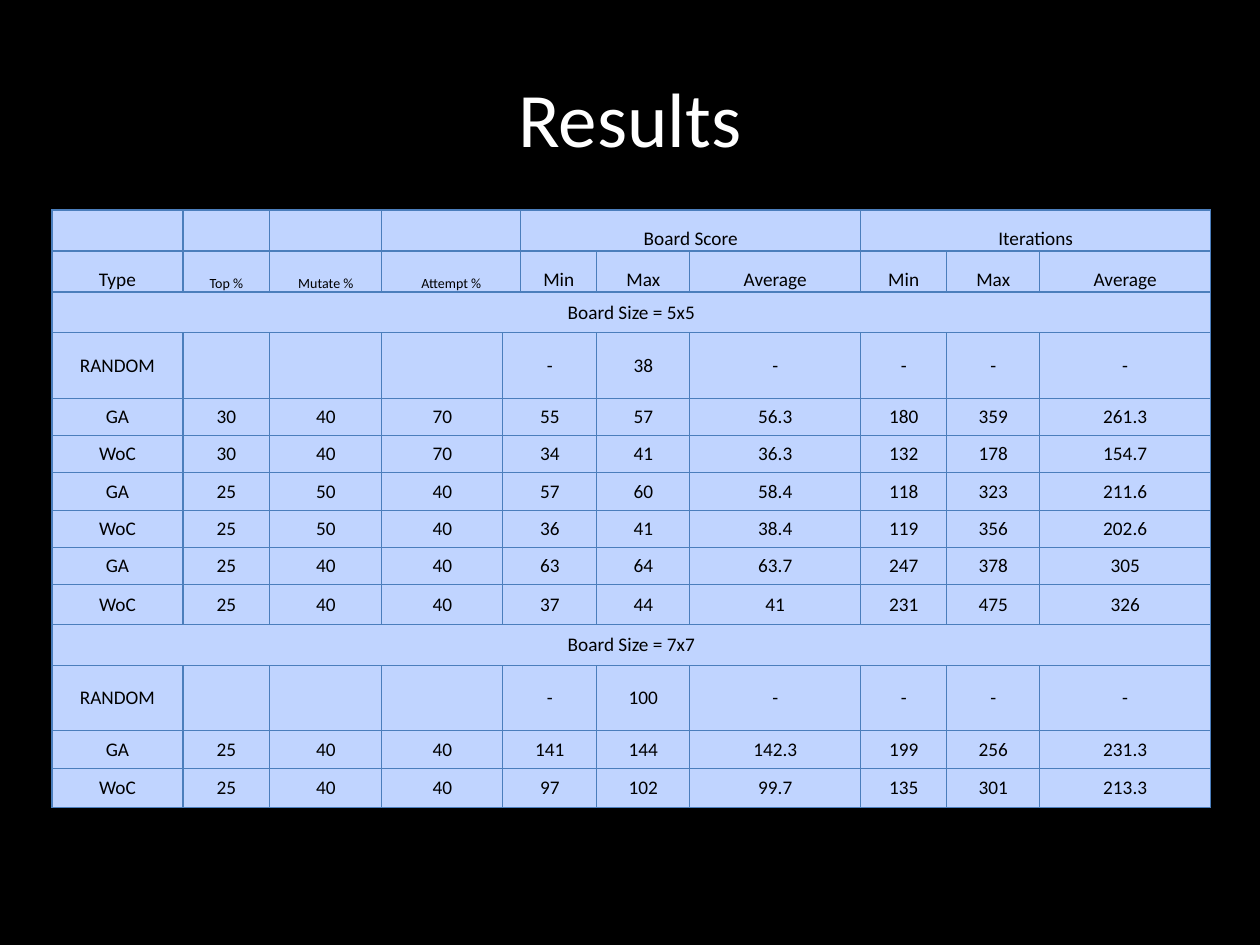
"""Build the results slide: a table of board scores and iterations."""
from lxml import etree
from pptx import Presentation
from pptx import util as u
from pptx.dml.color import RGBColor
from pptx.enum import text
from pptx.oxml.ns import qn

BLACK = RGBColor(0, 0, 0)
WHITE = RGBColor(255, 255, 255)
PALE = RGBColor(0xC0, 0xD4, 0xFF)
EDGE = RGBColor(0x4B, 0x7E, 0xBC)
COLS = [131, 87, 112, 121, 18, 76, 93, 171, 86, 93, 171]
TALL = [41, 41, 41, 66, 37, 37, 38, 37, 37, 40, 41, 65, 38, 39]
HEAD = 2
ROWS = [
    "||||Board Score|||Iterations||",
    "Type|Top %|Mutate %|Attempt %|Min|Max|Average|Min|Max|Average",
    "Board Size = 5x5",
    "RANDOM||||-|38|-|-|-|-",
    "GA|30|40|70|55|57|56.3|180|359|261.3",
    "WoC|30|40|70|34|41|36.3|132|178|154.7",
    "GA|25|50|40|57|60|58.4|118|323|211.6",
    "WoC|25|50|40|36|41|38.4|119|356|202.6",
    "GA|25|40|40|63|64|63.7|247|378|305",
    "WoC|25|40|40|37|44|41|231|475|326",
    "Board Size = 7x7",
    "RANDOM||||-|100|-|-|-|-",
    "GA|25|40|40|141|144|142.3|199|256|231.3",
    "WoC|25|40|40|97|102|99.7|135|301|213.3",
]


def px(n):
    return u.Emu(n * 914400 // 126)


def write(par, words, size, color):
    par.alignment = text.PP_ALIGN.CENTER
    run = par.add_run()
    run.text = words
    run.font.name = "Calibri"
    run.font.size = u.Pt(size)
    run.font.color.rgb = color


deck = Presentation()
deck.slide_width, deck.slide_height = px(1260), px(945)
slide = deck.slides.add_slide(deck.slide_layouts[6])
slide.background.fill.solid()
slide.background.fill.fore_color.rgb = BLACK

title = slide.shapes.add_textbox(px(63), px(38), px(1134), px(157)).text_frame
title.word_wrap = True
title.vertical_anchor = text.MSO_ANCHOR.MIDDLE
write(title.paragraphs[0], "Results", 44, WHITE)

grid = slide.shapes.add_table(
    len(ROWS), len(COLS), px(52), px(210), px(sum(COLS)), px(sum(TALL))).table
grid.first_row = grid.horz_banding = False
for col, wide in zip(grid.columns, COLS):
    col.width = px(wide)
for row, high in zip(grid.rows, TALL):
    row.height = px(high)

for cell in grid.iter_cells():
    props = cell._tc.get_or_add_tcPr()
    for side in ("a:lnL", "a:lnR", "a:lnT", "a:lnB"):
        line = etree.SubElement(props, qn(side), w=str(u.Pt(0.75)))
        fill = etree.SubElement(line, qn("a:solidFill"))
        etree.SubElement(fill, qn("a:srgbClr"), val=str(EDGE))
    cell.fill.solid()
    cell.fill.fore_color.rgb = PALE
    cell.margin_left = cell.margin_right = u.Inches(0.07)
    cell.margin_top = cell.margin_bottom = 0

for r, row in enumerate(ROWS):
    words = row.split("|")
    if len(words) == 1:
        spans = [(0, 10)]
    elif r < HEAD:
        spans = [(3, 4)]
    else:
        spans = [(4, 5)]
    if r == 0:
        spans += [(5, 7), (8, 10)]
    for first, last in spans:
        grid.cell(r, first).merge(grid.cell(r, last))
    if len(words) > 1:
        words.insert(4 if r < HEAD else 5, "")
    words += [""] * (len(COLS) - len(words))
    for c, word in enumerate(words):
        cell = grid.cell(r, c)
        low = r < HEAD
        cell.vertical_anchor = text.MSO_ANCHOR.BOTTOM if low else text.MSO_ANCHOR.MIDDLE
        par = cell.text_frame.paragraphs[0]
        if word:
            write(par, word, 8 if word.endswith("%") else 11, BLACK)
        else:
            etree.SubElement(par._p, qn("a:endParaRPr"), sz="1100")

deck.save("out.pptx")
